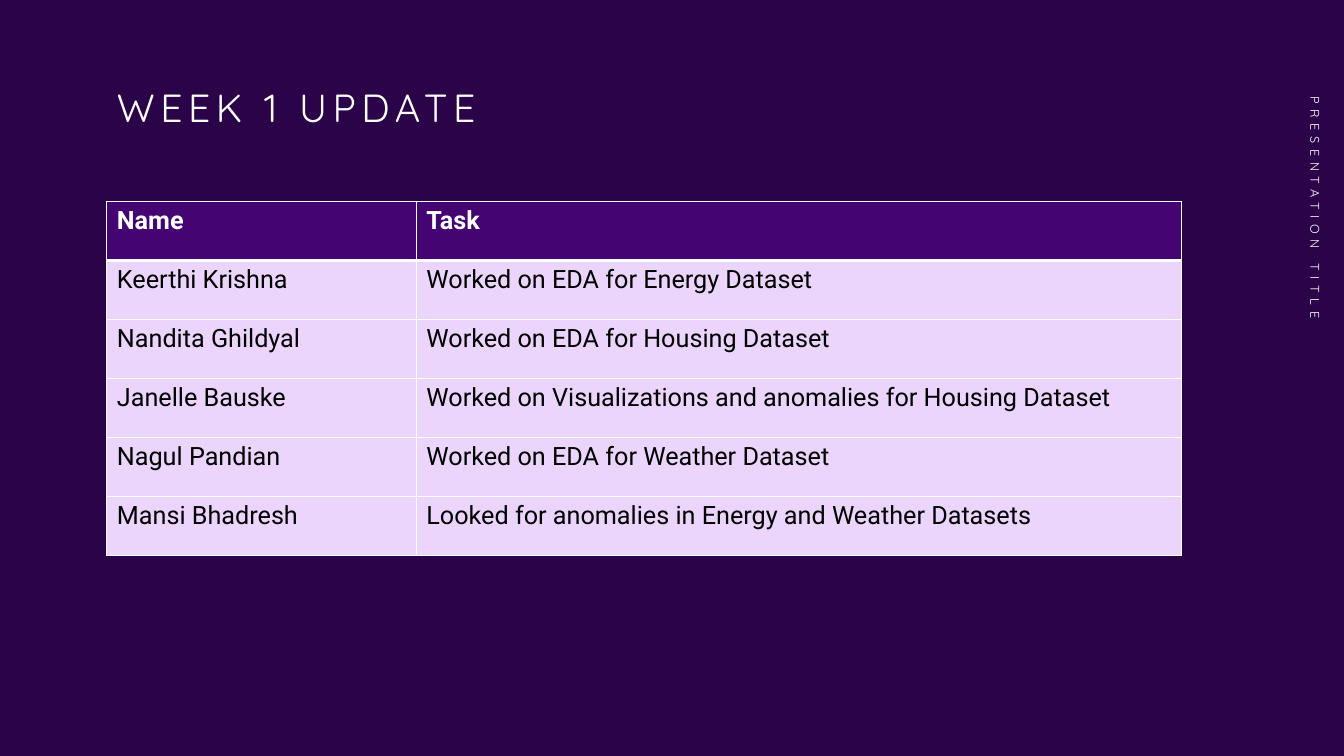
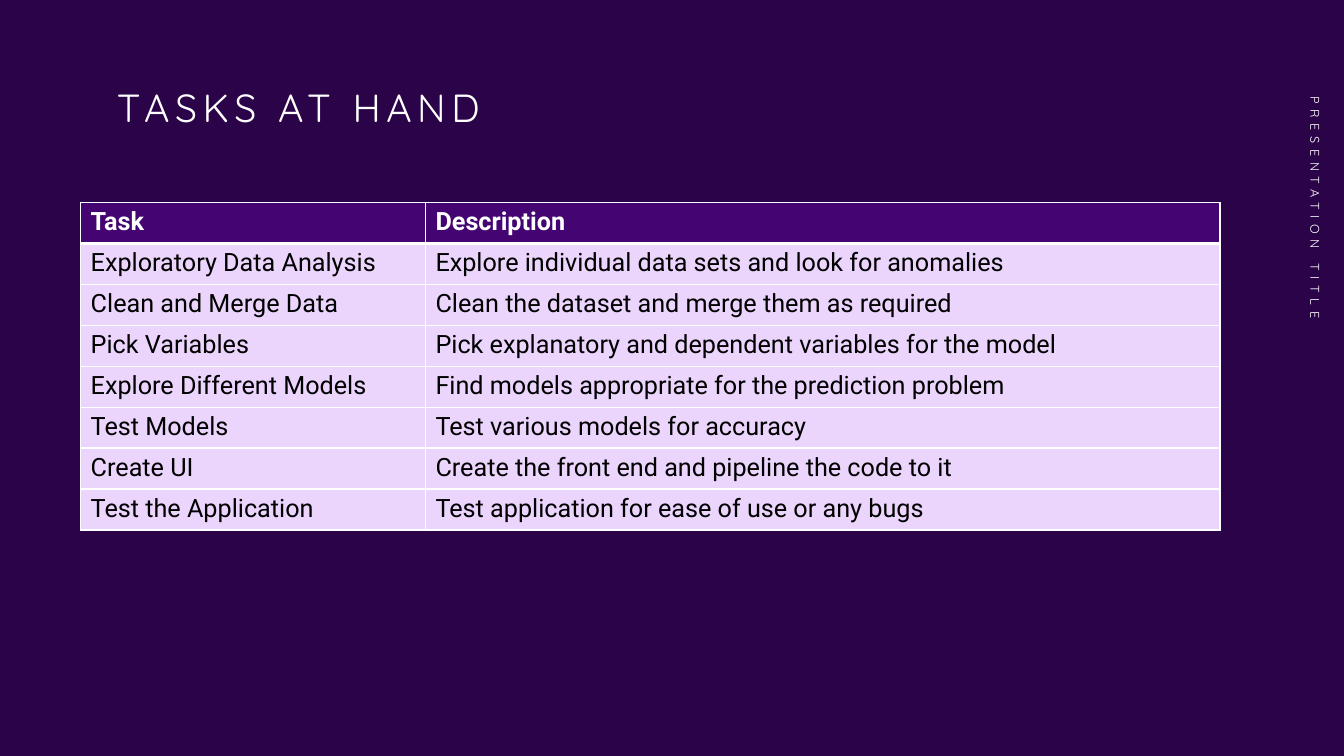
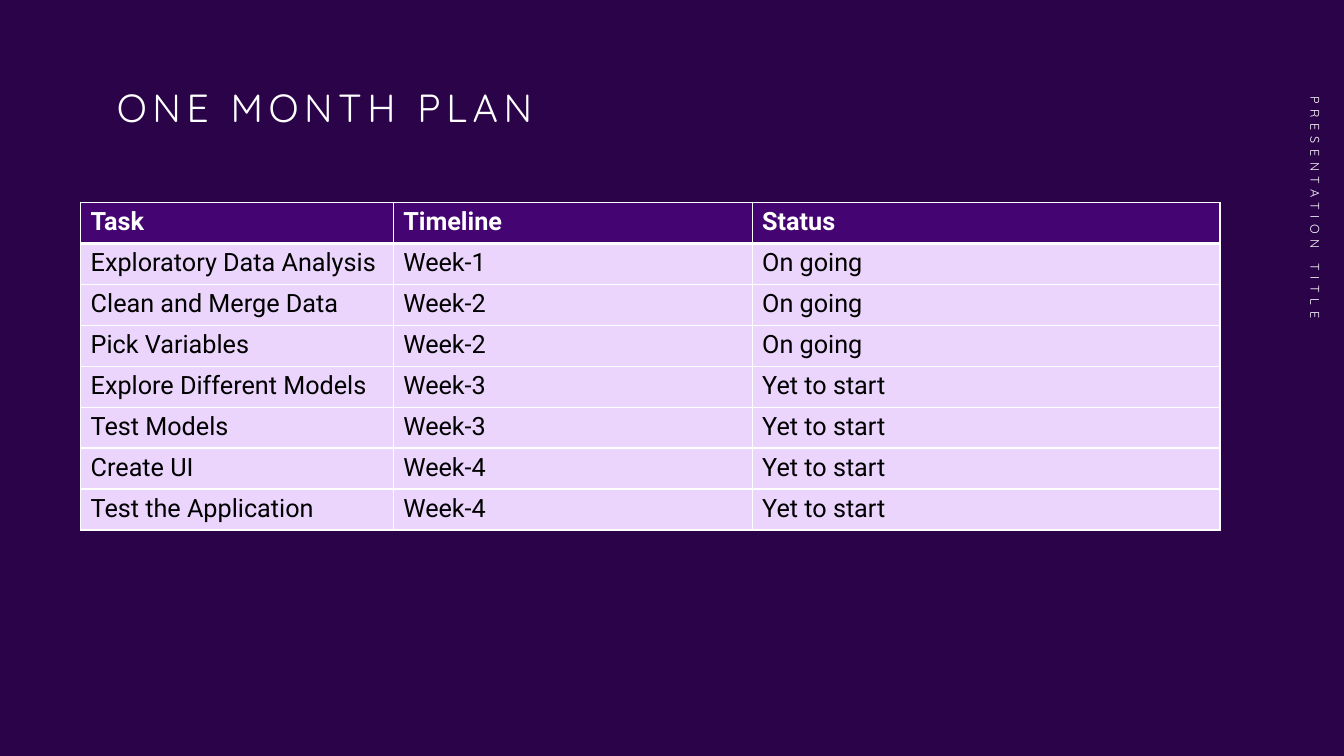
from dataclasses import dataclass

from lxml.etree import SubElement
from pptx import Presentation
from pptx.dml.color import RGBColor
from pptx.enum.text import MSO_ANCHOR, MSO_AUTO_SIZE, PP_ALIGN
from pptx.oxml.ns import qn
from pptx.slide import Slide
from pptx.table import _Cell
from pptx.text.text import _Run
from pptx.util import Inches, Pt

COLORS = {
    "background": "2B0348",
    "header": "440572",
    "body": "ECD5FD",
    "light": "FFFFFF",
    "dark": "000000",
}
HEADING_FONT = "Quicksand"
TABLE_FONT = "Roboto"
SIDE_TITLE = "PRESENTATION TITLE"
LETTER_SPACING = 4
THIN_BORDER = 1
THICK_BORDER = 3

TASKS = [
    "Exploratory Data Analysis",
    "Clean and Merge Data",
    "Pick Variables",
    "Explore Different Models",
    "Test Models",
    "Create UI",
    "Test the Application",
]
DESCRIPTIONS = [
    "Explore individual data sets and look for anomalies",
    "Clean the dataset and merge them as required",
    "Pick explanatory and dependent variables for the model",
    "Find models appropriate for the prediction problem",
    "Test various models for accuracy",
    "Create the front end and pipeline the code to it",
    "Test application for ease of use or any bugs",
]
WEEKS = [1, 2, 2, 3, 3, 4, 4]
STATUSES = ["On going"] * 3 + ["Yet to start"] * 4


@dataclass
class TableSlide:
    title: str
    left: float
    top: float
    height: float
    column_widths: list[float]
    rows: list[tuple[str, ...]]


TABLE_SLIDES = [
    TableSlide(
        "WEEK 1 UPDATE", 1.06, 2, 3.51, [3.07, 7.59],
        [
            ("Name", "Task"),
            ("Keerthi Krishna", "Worked on EDA for Energy Dataset"),
            ("Nandita Ghildyal", "Worked on EDA for Housing Dataset"),
            ("Janelle Bauske", "Worked on Visualizations and anomalies for Housing Dataset"),
            ("Nagul Pandian", "Worked on EDA for Weather Dataset"),
            ("Mansi Bhadresh", "Looked for anomalies in Energy and Weather Datasets"),
        ],
    ),
    TableSlide(
        "TASKS AT HAND", 0.8, 2.01, 3.25, [3.42, 7.88],
        [("Task", "Description"), *zip(TASKS, DESCRIPTIONS)],
    ),
    TableSlide(
        "ONE MONTH PLAN", 0.8, 2.01, 3.25, [3.1, 3.56, 4.64],
        [
            ("Task", "Timeline", "Status"),
            *zip(TASKS, [f"Week-{week}" for week in WEEKS], STATUSES),
        ],
    ),
]


def rgb(name: str) -> RGBColor:
    return RGBColor.from_string(COLORS[name])


def format_run(run: _Run, font: str, size: float, color: str, bold: bool = False) -> None:
    run.font.name = font
    run.font.size = Pt(size)
    run.font.bold = bold
    run.font.color.rgb = rgb(color)


def format_heading(run: _Run, size: float) -> None:
    format_run(run, HEADING_FONT, size, "light")
    run.font._element.set("spc", str(LETTER_SPACING * 100))


def add_title(slide: Slide, text: str) -> None:
    title = slide.shapes.title
    title.left, title.top = Inches(1.06), Inches(0.83)
    title.width, title.height = Inches(5.93), Inches(0.63)
    text_frame = title.text_frame
    text_frame.text = text
    text_frame.word_wrap = True
    text_frame.auto_size = MSO_AUTO_SIZE.NONE
    text_frame.vertical_anchor = MSO_ANCHOR.TOP
    paragraph = text_frame.paragraphs[0]
    paragraph.alignment = PP_ALIGN.LEFT
    paragraph.line_spacing = 0.9
    format_heading(paragraph.runs[0], 28)


def add_side_title(slide: Slide) -> None:
    side_title = slide.shapes.add_textbox(Inches(11.53), Inches(1.54), Inches(3.03), Inches(0.4))
    side_title.rotation = 90
    text_frame = side_title.text_frame
    text_frame.text = SIDE_TITLE
    text_frame.word_wrap = True
    text_frame.vertical_anchor = MSO_ANCHOR.MIDDLE
    paragraph = text_frame.paragraphs[0]
    paragraph.alignment = PP_ALIGN.RIGHT
    format_heading(paragraph.runs[0], 9)


def set_borders(cell: _Cell, top: float, bottom: float) -> None:
    properties = cell._tc.get_or_add_tcPr()
    widths = {"lnL": THIN_BORDER, "lnR": THIN_BORDER, "lnT": top, "lnB": bottom}
    for side, width in widths.items():
        line = SubElement(properties, qn(f"a:{side}"), w=str(Pt(width)))
        fill = SubElement(line, qn("a:solidFill"))
        SubElement(fill, qn("a:srgbClr"), val=COLORS["light"])


def format_cell(cell: _Cell, text: str, row_index: int) -> None:
    is_header = row_index == 0
    set_borders(
        cell,
        top=THICK_BORDER if row_index == 1 else THIN_BORDER,
        bottom=THICK_BORDER if is_header else THIN_BORDER,
    )
    cell.fill.solid()
    cell.fill.fore_color.rgb = rgb("header" if is_header else "body")
    cell.text_frame.text = text
    run = cell.text_frame.paragraphs[0].runs[0]
    format_run(run, TABLE_FONT, 18, "light" if is_header else "dark", is_header)


def add_content_table(slide: Slide, content: TableSlide) -> None:
    table = slide.shapes.add_table(
        len(content.rows),
        len(content.column_widths),
        Inches(content.left),
        Inches(content.top),
        Inches(sum(content.column_widths)),
        Inches(content.height),
    ).table
    table.horz_banding = False
    for column, width in zip(table.columns, content.column_widths):
        column.width = Inches(width)
    for row_index, texts in enumerate(content.rows):
        for column_index, text in enumerate(texts):
            format_cell(table.cell(row_index, column_index), text, row_index)


def main() -> None:
    presentation = Presentation()
    presentation.slide_width = Inches(13.33)
    presentation.slide_height = Inches(7.5)
    background = presentation.slide_master.background.fill
    background.solid()
    background.fore_color.rgb = rgb("background")
    title_only = presentation.slide_layouts.get_by_name("Title Only")
    for content in TABLE_SLIDES:
        slide = presentation.slides.add_slide(title_only)
        add_title(slide, content.title)
        add_side_title(slide)
        add_content_table(slide, content)
    presentation.save("out.pptx")


if __name__ == "__main__":
    main()
